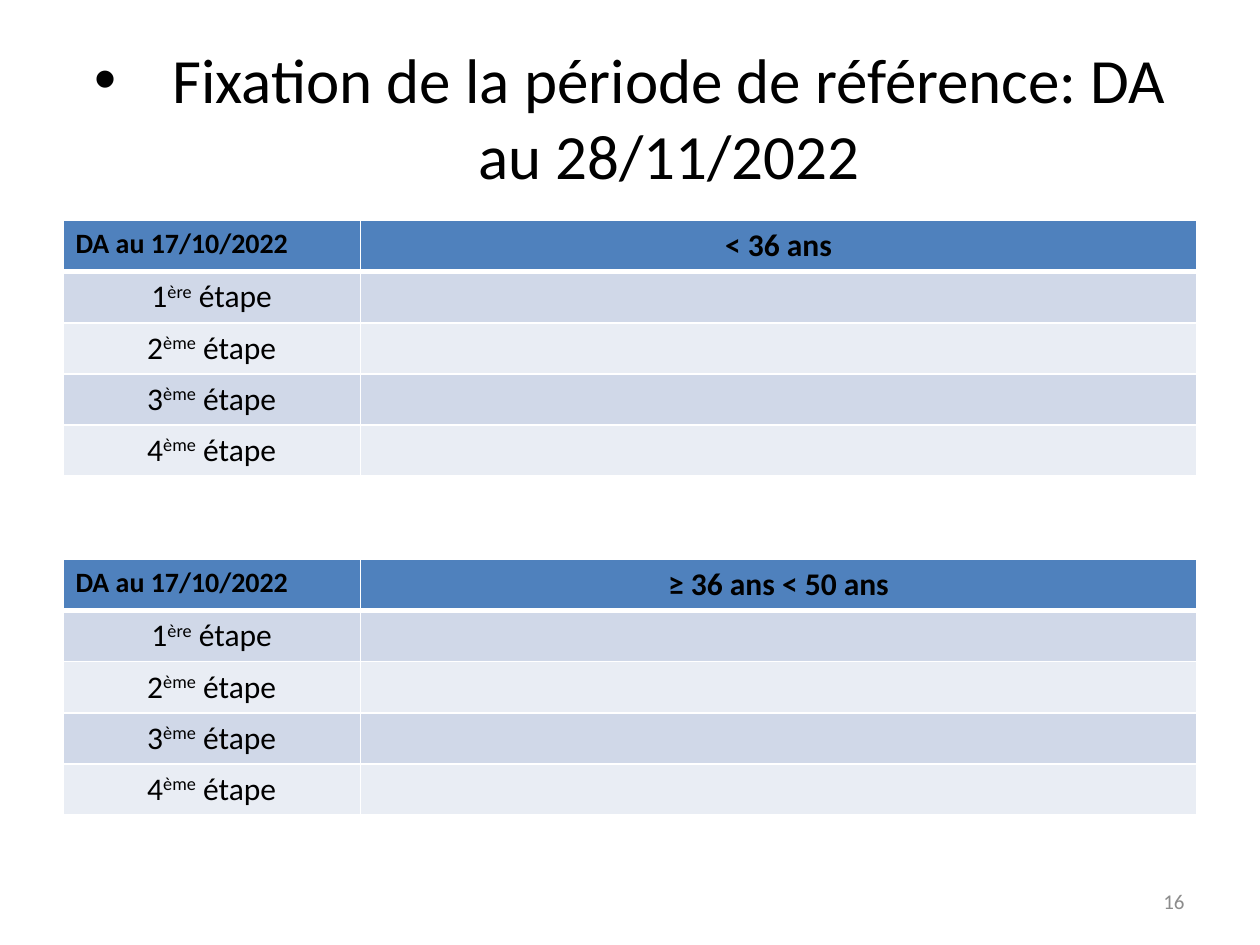
from lxml.etree import SubElement
from pptx import Presentation
from pptx.dml.color import RGBColor
from pptx.enum.text import MSO_ANCHOR, PP_ALIGN
from pptx.oxml.ns import qn
from pptx.util import Inches, Pt

COLORS = {"text": "000000", "number": "8C8C8C", "header": "4F81BD",
          "odd": "D0D8E8", "even": "E9EDF4", "border": "FFFFFF"}
TITLE = "Fixation de la période de référence: DA au 28/11/2022"
PAGE_NUMBER = "16"
DATE_LABEL = "DA au 17/10/2022"
STEPS = [("1", "ère"), ("2", "ème"), ("3", "ème"), ("4", "ème")]
STEP_WORD = " étape"
AGE_TABLES = [("< 36 ans", 1.75), ("≥ 36 ans < 50 ans", 4.44)]
LEFT, WIDTH, TABLE_HEIGHT = 0.5, 9, 2.03
COLUMN_WIDTHS = [2.36, 6.64]


def add_span(para, text, size, color="text", bold=False, raised=False):
    span = para.add_run()
    span.text = text
    formats = {"name": "Calibri", "size": Pt(size), "bold": bold}
    for name, value in formats.items():
        setattr(span.font, name, value)
    span.font.color.rgb = RGBColor.from_string(COLORS[color])
    if raised:
        span.font._element.set("baseline", "30000")


def add_text_box(page, area, align):
    """Add a wrapped, vertically centred box and return its paragraph."""
    frame = page.shapes.add_textbox(*map(Inches, area)).text_frame
    frame.word_wrap = True
    frame.vertical_anchor = MSO_ANCHOR.MIDDLE
    para = frame.paragraphs[0]
    para.alignment = align
    return para


def add_bullet(para, indent):
    properties = para._p.get_or_add_pPr()
    properties.set("marL", str(Inches(indent)))
    properties.set("indent", str(-Inches(indent)))
    SubElement(properties, qn("a:buFont"), typeface="Arial")
    SubElement(properties, qn("a:buChar"), char="•")


def style_cell(cell, fill, bottom):
    """Draw the white borders, then the fill, in the order the schema asks."""
    properties = cell._tc.get_or_add_tcPr()
    for side, width in {"L": 1, "R": 1, "T": 1, "B": bottom}.items():
        line = SubElement(properties, qn(f"a:ln{side}"), w=str(Pt(width)))
        solid = SubElement(line, qn("a:solidFill"))
        SubElement(solid, qn("a:srgbClr"), val=COLORS["border"])
    cell.fill.solid()
    cell.fill.fore_color.rgb = RGBColor.from_string(COLORS[fill])


def add_age_table(page, age, top):
    area = (LEFT, top, WIDTH, TABLE_HEIGHT)
    table = page.shapes.add_table(len(STEPS) + 1, len(COLUMN_WIDTHS),
                                  *map(Inches, area)).table
    for column, width in zip(table.columns, COLUMN_WIDTHS):
        column.width = Inches(width)
    for index, row in enumerate(table.rows):
        fill = "header" if index == 0 else ("even", "odd")[index % 2]
        for cell in row.cells:
            # The line under the header is thicker, seen from both of its rows
            style_cell(cell, fill, bottom=3 if index == 0 else 1)
            if index == 1:
                cell._tc.tcPr.find(qn("a:lnT")).set("w", str(Pt(3)))

    add_span(table.cell(0, 0).text_frame.paragraphs[0], DATE_LABEL, 16, bold=True)
    age_para = table.cell(0, 1).text_frame.paragraphs[0]
    age_para.alignment = PP_ALIGN.CENTER
    add_span(age_para, age, 18, bold=True)
    for index, (number, suffix) in enumerate(STEPS, start=1):
        para = table.cell(index, 0).text_frame.paragraphs[0]
        para.alignment = PP_ALIGN.CENTER
        add_span(para, number, 18)
        add_span(para, suffix, 18, raised=True)
        add_span(para, STEP_WORD, 18)


def main():
    deck = Presentation()
    deck.slide_width, deck.slide_height = Inches(10), Inches(7.5)
    page = deck.slides.add_slide(deck.slide_layouts[6])

    title = add_text_box(page, (LEFT, 0.3, WIDTH, 1.25), PP_ALIGN.CENTER)
    add_bullet(title, 0.62)
    add_span(title, TITLE, 36)
    for age, top in AGE_TABLES:
        add_age_table(page, age, top)
    number = add_text_box(page, (7.17, 6.95, 2.33, 0.4), PP_ALIGN.RIGHT)
    add_span(number, PAGE_NUMBER, 12, "number")

    deck.save("out.pptx")


if __name__ == "__main__":
    main()
